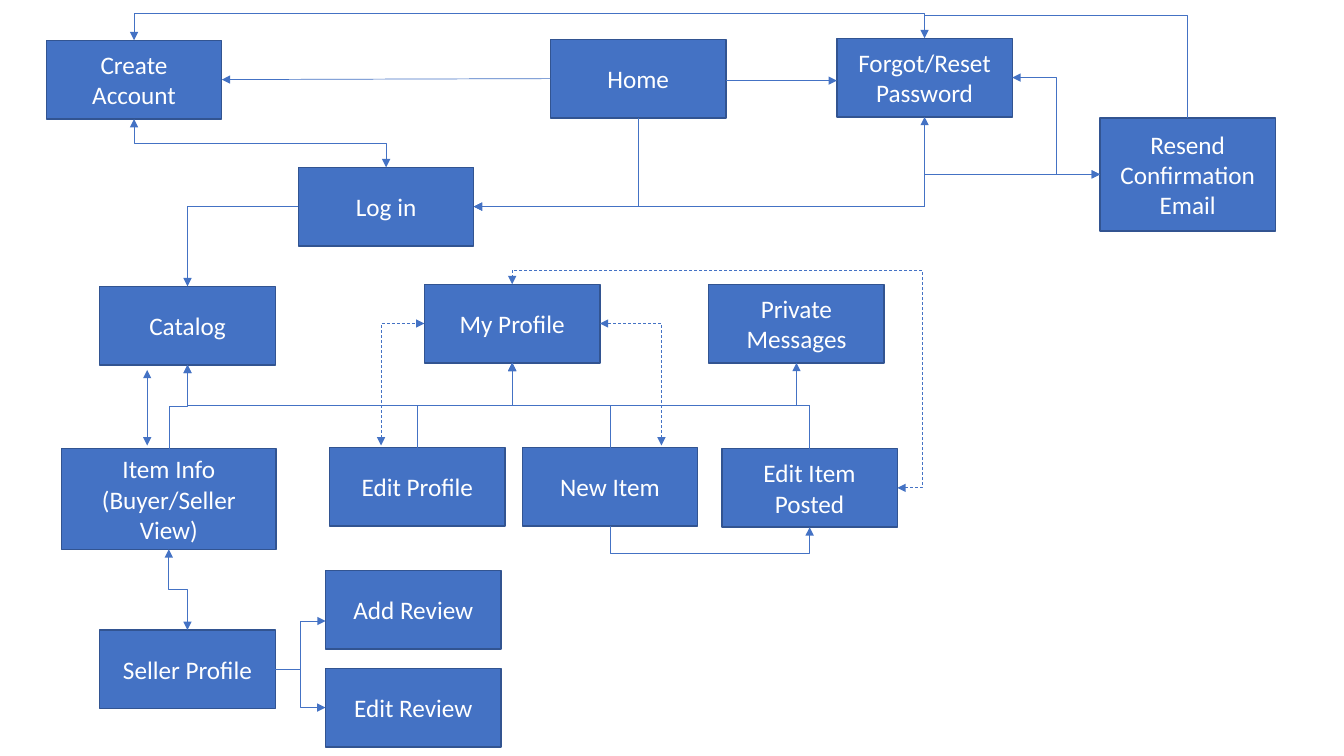
import pptx
import pptx.util
import pptx.dml.color
import pptx.enum.dml
import pptx.enum.shapes
import pptx.enum.text
import pptx.oxml
import pptx.oxml.ns
from pptx.util import Inches

PAGE_FILL, PAGE_EDGE, WHITE = "4472C4", "325491", "FFFFFF"
PAGE_W, PAGE_H = 1.74, 0.78


def colour(hex_code):
    """Turn a hex string into a colour."""
    return pptx.dml.color.RGBColor.from_string(hex_code)


def write(frame, text, size=18, font="Calibri", ink=WHITE):
    """Write centred text into a text frame."""
    frame.word_wrap = True
    frame.vertical_anchor = pptx.enum.text.MSO_ANCHOR.MIDDLE
    line = frame.paragraphs[0]
    line.alignment = pptx.enum.text.PP_ALIGN.CENTER
    run = line.add_run()
    run.text = text
    run.font.size, run.font.name = pptx.util.Pt(size), font
    run.font.color.rgb = colour(ink)


def add_page(slide, name, left, top, width=PAGE_W, height=PAGE_H):
    """Draw one page of the site and return its box."""
    page = slide.shapes.add_shape(
        pptx.enum.shapes.MSO_SHAPE.RECTANGLE,
        Inches(left), Inches(top), Inches(width), Inches(height))
    page.shadow.inherit = False
    page.fill.solid()
    page.fill.fore_color.rgb = colour(PAGE_FILL)
    page.line.color.rgb = colour(PAGE_EDGE)
    page.line.width = pptx.util.Pt(1)
    write(page.text_frame, name)
    return left, top, width, height


def add_pages(slide, left, top, pages):
    """Draw pages at offsets from a region's corner; return boxes by name."""
    return {name: add_page(slide, name, left + dx, top + dy, *size)
            for name, dx, dy, *size in pages}


def account_pages(slide, left, top):
    """Draw the home, sign-up and sign-in pages."""
    return add_pages(slide, left, top, [
        ("Home", 5, 0.01), ("Create Account", 0, 0.02),
        ("Log in", 2.5, 1.28), ("Forgot/Reset Password", 7.84, 0),
        ("Resend Confirmation Email", 10.45, 0.79, PAGE_W, 1.12)])


def market_pages(slide, left, top):
    """Draw the catalog, profile and item pages."""
    return add_pages(slide, left, top, [
        ("Catalog", 0.38, 0.02), ("My Profile", 3.6, 0),
        ("Private Messages", 6.42, 0),
        ("Item Info (Buyer/Seller View)", 0, 1.63, 2.13, 1),
        ("Edit Profile", 2.66, 1.62), ("New Item", 4.57, 1.62),
        ("Edit Item Posted", 6.55, 1.63)])


def seller_pages(slide, left, top):
    """Draw the seller profile and its review pages."""
    return add_pages(slide, left, top, [
        ("Seller Profile", 0, 0.59),
        ("Add Review", 2.24, 0), ("Edit Review", 2.24, 0.97)])


def anchor(boxes, end):
    """Resolve (page, side) to the middle of that side; keep plain points."""
    if not isinstance(end[0], str):
        return end
    left, top, width, height = boxes[end[0]]
    fx, fy = {"left": (0, 0.5), "right": (1, 0.5),
              "top": (0.5, 0), "bottom": (0.5, 1)}[end[1]]
    return left + fx * width, top + fy * height


def style_link(link, heads, dashed):
    """Set a link's line, arrowheads and lack of shadow."""
    link.line.color.rgb = colour(PAGE_FILL)
    link.line.width = pptx.util.Pt(0.5)
    if dashed:
        link.line.dash_style = pptx.enum.dml.MSO_LINE.DASH
    properties = link._element.spPr
    stroke = properties.find(pptx.oxml.ns.qn("a:ln"))
    for tag, where in (("headEnd", "start"), ("tailEnd", "end")):
        if heads in (where, "both"):
            stroke.append(pptx.oxml.parse_xml(
                f'<a:{tag} {pptx.oxml.ns.nsdecls("a")} type="triangle"/>'))
    properties.append(pptx.oxml.parse_xml(
        f'<a:effectLst {pptx.oxml.ns.nsdecls("a")}/>'))


def bend(link, start, end, first, kind, turns):
    """Shape an elbow that leaves start along axis first ("h" or "v")."""
    dx, dy = end[0] - start[0], end[1] - start[1]
    along, across = (dx, dy) if first == "h" else (dy, -dx)
    flips, turn = [along < 0, across < 0], 0 if first == "h" else 90
    if flips[0] != flips[1]:
        flips, turn = [not flip for flip in flips], turn + 180
    width, height = abs(along), abs(across)
    link.left = Inches((start[0] + end[0] - width) / 2)
    link.top = Inches((start[1] + end[1] - height) / 2)
    link.width, link.height = Inches(width), Inches(height)
    frame = link._element.spPr.xfrm
    frame.set("rot", str(turn * 60000))
    for name, flip in zip(("flipH", "flipV"), flips):
        frame.set(name, str(int(flip)))
    outline = link._element.spPr.find(pptx.oxml.ns.qn("a:prstGeom"))
    outline.set("prst", f"bentConnector{kind}")
    guides = outline.find(pptx.oxml.ns.qn("a:avLst"))
    axis = 0 if first == "h" else 1
    for number, position in enumerate(turns):
        side = (axis + number) % 2
        share = (position - start[side]) / (end[side] - start[side])
        guides.append(pptx.oxml.parse_xml(
            f'<a:gd {pptx.oxml.ns.nsdecls("a")} name="adj{number + 1 if kind > 3 else 1}"'
            f' fmla="val {round(share * 100000)}"/>'))


def add_link(slide, boxes, start, end, heads="end", first=None, kind=3,
             turns=(), dashed=False):
    """Link two pages or points; straight unless a first axis is given."""
    start, end = anchor(boxes, start), anchor(boxes, end)
    types = pptx.enum.shapes.MSO_CONNECTOR
    link = slide.shapes.add_connector(
        types.ELBOW if first else types.STRAIGHT,
        *(Inches(value) for value in (*start, *end)))
    if first:
        bend(link, start, end, first, kind, turns)
    style_link(link, heads, dashed)


def account_links(slide, boxes):
    """Link the account pages, and sign-in to the catalog."""
    def link(*ends, **look):
        add_link(slide, boxes, *ends, **look)

    login = ("Log in", "right")
    create, forgot = "Create Account", "Forgot/Reset Password"
    resend = "Resend Confirmation Email"
    link(("Home", "left"), (create, "right"))
    link((7.2, 0.8), (8.3, 0.8))
    link(("Home", "bottom"), login, first="v", kind=2)
    link((create, "bottom"), ("Log in", "top"), heads="both", first="v")
    link((forgot, "bottom"), login, heads="both", first="v", kind=2)
    link((create, "top"), (forgot, "top"), heads="both", first="v", turns=[0.13])
    link((forgot, "right"), (resend, "left"), heads="both", first="h")
    link((resend, "left"), login, heads="both", first="h", turns=[9.17])
    link((9.17, 0.15), (resend, "top"), heads="", first="h", kind=2)
    link(("Log in", "left"), ("Catalog", "top"), first="h", kind=2)


def market_links(slide, boxes):
    """Link the catalog, profile and item pages."""
    def link(*ends, **look):
        add_link(slide, boxes, *ends, **look)

    profile, catalog = ("My Profile", "bottom"), ("Catalog", "bottom")
    item, posted = "Item Info (Buyer/Seller View)", "Edit Item Posted"
    link(profile, ("Edit Profile", "top"), heads="start", first="v")
    link(profile, ("New Item", "top"), heads="", first="v")
    link(catalog, (item, "top"), heads="start", first="v")
    link(catalog, profile, heads="both", first="v", turns=[4.02])
    for target in (profile, ("Private Messages", "bottom")):
        link((posted, "top"), target, first="v")
    link(("New Item", "bottom"), (posted, "bottom"), first="v", turns=[5.49])
    link((1.46, 4.42), (1.46, 3.67), heads="both")
    for x, side in ((3.78, "left"), (6.56, "right")):
        link((x, 4.42), ("My Profile", side), heads="both", first="v",
             kind=2, dashed=True)
    link((posted, "right"), ("My Profile", "top"), heads="both", first="h",
         kind=4, turns=[9.15, 2.68], dashed=True)


def seller_links(slide, boxes):
    """Link the seller profile to the item and review pages."""
    seller = "Seller Profile"
    add_link(slide, boxes, ("Item Info (Buyer/Seller View)", "bottom"),
             (seller, "top"), heads="both", first="v")
    for review in ((3.23, 6.16), ("Edit Review", "left")):
        add_link(slide, boxes, review, (seller, "right"), heads="start", first="h")


deck = pptx.Presentation()
deck.slide_width, deck.slide_height = Inches(13.33), Inches(7.5)
site_map = deck.slides.add_slide(deck.slide_layouts[6])
site_pages = {**account_pages(site_map, 0.46, 0.38),
              **market_pages(site_map, 0.61, 2.82),
              **seller_pages(site_map, 0.99, 5.66)}
for draw_links in (account_links, market_links, seller_links):
    draw_links(site_map, site_pages)
deck.save("out.pptx")
